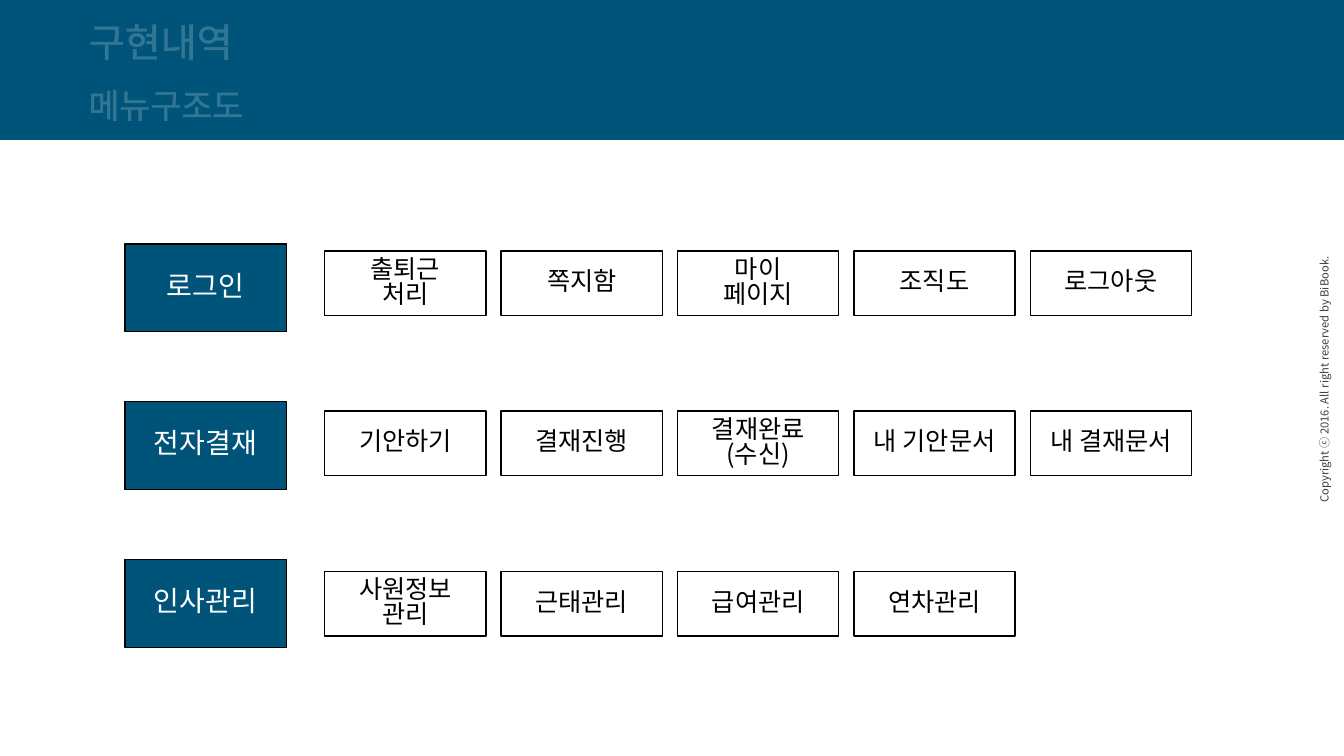
"""Build the menu structure slide with three rows of menu boxes."""
from lxml import etree
from pptx import Presentation
from pptx.dml.color import RGBColor
from pptx.enum.shapes import MSO_SHAPE
from pptx.enum.text import MSO_ANCHOR, MSO_AUTO_SIZE, PP_ALIGN
from pptx.oxml.ns import qn
from pptx.util import Pt

TITLE = "구현내역"
SUB = "메뉴구조도"
RIGHTS = "Copyright ⓒ 2016. All right reserved by BiBook."
MENU = [
    ("로그인", ["출퇴근\n처리", "쪽지함", "마이\n페이지", "조직도", "로그아웃"]),
    ("전자결재", ["기안하기", "결재진행", "결재완료\n(수신)", "내 기안문서", "내 결재문서"]),
    ("인사관리", ["사원정보\n관리", "근태관리", "급여관리", "연차관리"]),
]

FONT = "Noto Sans CJK KR"
BLUE = RGBColor(0x00, 0x54, 0x7A)
WHITE = RGBColor(0xFF, 0xFF, 0xFF)
BLACK = RGBColor(0x00, 0x00, 0x00)
GREY = RGBColor(0x40, 0x40, 0x40)
RECT = MSO_SHAPE.RECTANGLE
LEFT, MID = PP_ALIGN.LEFT, PP_ALIGN.CENTER
TOP, CORE = MSO_ANCHOR.TOP, MSO_ANCHOR.MIDDLE
GROW = MSO_AUTO_SIZE.SHAPE_TO_FIT_TEXT

WIDE, HIGH, BAND = 960, 540, 100
BOX_W = 115.2
HEAD_X, HEAD_Y, HEAD_H, HEAD_STEP = 89.3, 174.2, 62.8, 112.7
ITEM_X, ITEM_Y, ITEM_H = 232, 179.3, 46.2
ITEM_DX, ITEM_DY = 126, 114.4


def write(shape, text, size, color, align, anchor):
    """Fill a shape with one paragraph per line and return the runs."""
    frame = shape.text_frame
    frame.vertical_anchor = anchor
    runs = []
    for i, line in enumerate(text.split("\n")):
        para = frame.add_paragraph() if i else frame.paragraphs[0]
        para.alignment = align
        para.line_spacing = 0.82
        run = para.add_run()
        run.text = line
        run.font.size = Pt(size)
        run.font.name = FONT
        run.font.color.rgb = color
        east = etree.SubElement(run.font._element, qn("a:ea"))
        east.set("typeface", FONT)
        runs.append(run)
    return runs


def label(shape, area, text, size, color):
    """Place an unwrapped label with a faint text outline."""
    shape.left, shape.top, shape.width, shape.height = map(Pt, area)
    frame = shape.text_frame
    frame.word_wrap = False
    frame.auto_size = GROW
    for run in write(shape, text, size, color, LEFT, TOP):
        line = etree.Element(qn("a:ln"), w=str(Pt(0.75)))
        fill = etree.SubElement(line, qn("a:solidFill"))
        tint = etree.SubElement(fill, qn("a:srgbClr"), val=str(color))
        etree.SubElement(tint, qn("a:alpha"), val="20000")
        run.font._element.insert(0, line)


def block(slide, area, fill=None, edge=None):
    """Add a plain rectangle."""
    shape = slide.shapes.add_shape(RECT, *map(Pt, area))
    shape.shadow.inherit = False
    if fill is None:
        shape.fill.background()
    else:
        shape.fill.solid()
        shape.fill.fore_color.rgb = fill
    if edge is None:
        shape.line.fill.background()
    else:
        shape.line.color.rgb = edge
        shape.line.width = Pt(1)
    return shape


def main():
    """Lay out the header, the rights line and the menu grid."""
    deck = Presentation()
    deck.slide_width, deck.slide_height = Pt(WIDE), Pt(HIGH)
    slide = deck.slides.add_slide(deck.slide_layouts[5])
    shapes = slide.shapes

    band = block(slide, (0, 0, WIDE, BAND), BLUE)
    shapes.title._element.addprevious(band._element)
    label(shapes.title, (56.2, 15, 121, 41), TITLE, 28, WHITE)
    label(shapes.add_textbox(0, 0, 0, 0), (56.2, 62, 128, 36), SUB, 24, WHITE)
    rights = shapes.add_textbox(0, 0, 0, 0)
    label(rights, (851.8, 261.4, 192.2, 17.3), RIGHTS, 8, GREY)
    rights.rotation = 270

    for row, (head, items) in enumerate(MENU):
        area = (HEAD_X, HEAD_Y + row * HEAD_STEP, BOX_W, HEAD_H)
        write(block(slide, area, BLUE, BLACK), head, 20, WHITE, MID, CORE)
        for col, item in enumerate(items):
            x, y = ITEM_X + col * ITEM_DX, ITEM_Y + row * ITEM_DY
            box = block(slide, (x, y, BOX_W, ITEM_H), edge=BLACK)
            write(box, item, 18, BLACK, MID, CORE)

    deck.save("out.pptx")


if __name__ == "__main__":
    main()
